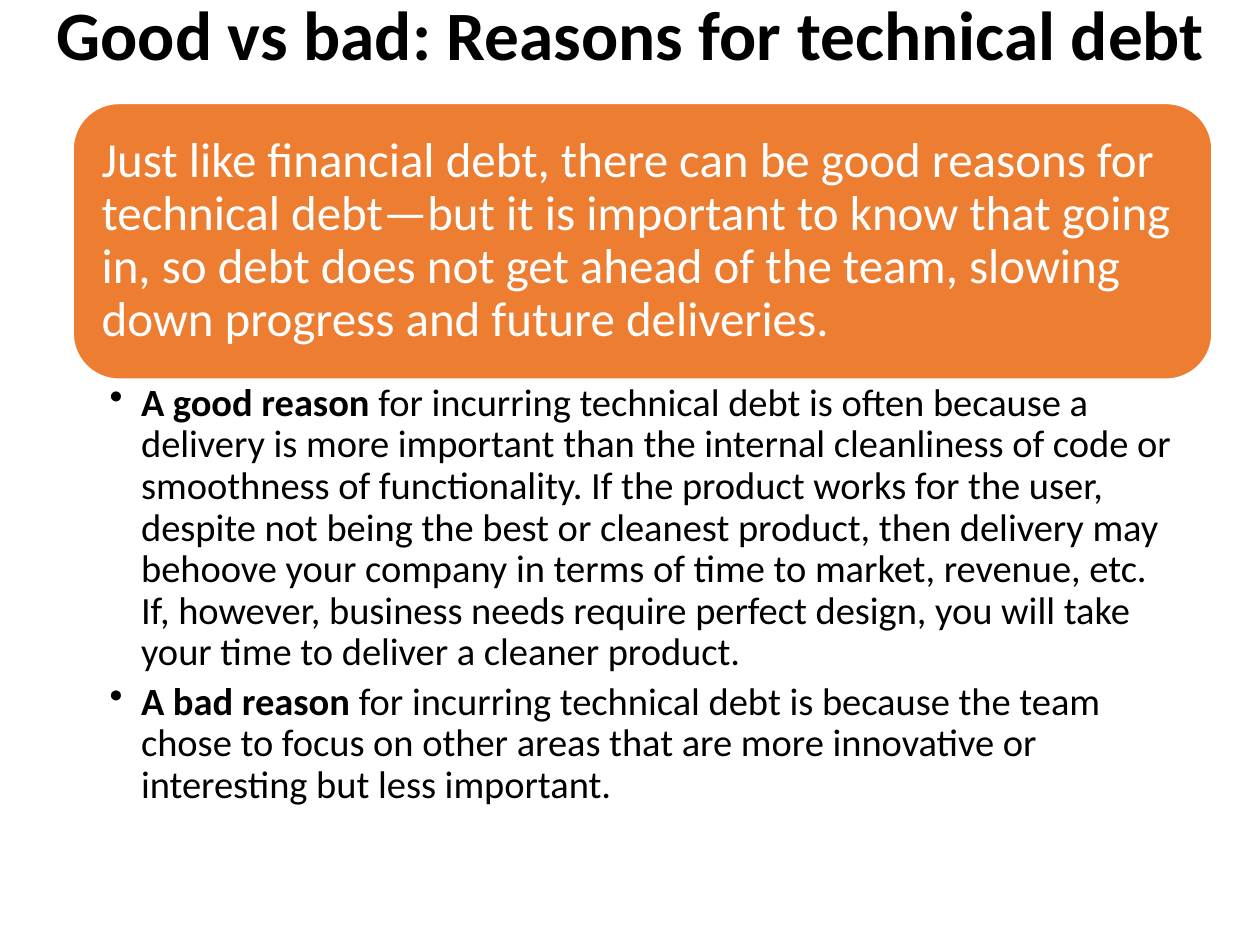
from pptx import Presentation
from pptx.dml.color import RGBColor
from pptx.enum.shapes import MSO_SHAPE
from pptx.enum.text import MSO_ANCHOR, PP_ALIGN
from pptx.oxml.ns import qn
from pptx.util import Inches, Pt
from lxml import etree

BLACK = RGBColor(0x00, 0x00, 0x00)
WHITE = RGBColor(0xFF, 0xFF, 0xFF)
ORANGE = RGBColor(0xED, 0x7D, 0x31)

TITLE = "Good vs bad: Reasons for technical debt"
LEAD = (
    "Just like financial debt, there can be good reasons for technical debt—but "
    "it is important to know that going in, so debt does not get ahead of the "
    "team, slowing down progress and future deliveries."
)
REASONS = [
    (
        "A good reason ",
        "for incurring technical debt is often because a delivery is more important "
        "than the internal cleanliness of code or smoothness of functionality. If "
        "the product works for the user, despite not being the best or cleanest "
        "product, then delivery may behoove your company in terms of time to "
        "market, revenue, etc. If, however, business needs require perfect design, "
        "you will take your time to deliver a cleaner product.",
    ),
    (
        "A bad reason ",
        "for incurring technical debt is because the team chose to focus on other "
        "areas that are more innovative or interesting but less important.",
    ),
]


def apply(item, values):
    for name, value in values.items():
        setattr(item, name, value)


def set_frame(shape, anchor, left, top, right, bottom):
    frame = shape.text_frame
    apply(frame, {
        "word_wrap": True,
        "vertical_anchor": anchor,
        "margin_left": Inches(left),
        "margin_top": Inches(top),
        "margin_right": Inches(right),
        "margin_bottom": Inches(bottom),
    })
    return frame


def add_run(para, text, size, color, bold=False):
    run = para.add_run()
    run.text = text
    apply(run.font, {"name": "Calibri", "size": Pt(size), "bold": bold})
    run.font.color.rgb = color


def set_para(para, after=0):
    apply(para, {
        "alignment": PP_ALIGN.LEFT,
        "line_spacing": 0.9,
        "space_after": Pt(after),
    })


def add_bullet(para):
    props = para._p.get_or_add_pPr()
    props.set("marL", str(Inches(0.25)))
    props.set("indent", str(Inches(-0.25)))
    etree.SubElement(props, qn("a:buChar")).set("char", "•")


def add_title(slide):
    box = slide.shapes.add_textbox(
        Inches(0.35), Inches(0.02), Inches(9.57), Inches(0.57))
    frame = set_frame(box, MSO_ANCHOR.MIDDLE, 0.1, 0, 0.1, 0)
    para = frame.paragraphs[0]
    set_para(para)
    add_run(para, TITLE, 39.6, BLACK, True)


def add_banner(slide):
    shape = slide.shapes.add_shape(
        MSO_SHAPE.ROUNDED_RECTANGLE,
        Inches(0.58), Inches(0.82), Inches(9.04), Inches(2.19))
    shape.shadow.inherit = False
    shape.fill.solid()
    shape.fill.fore_color.rgb = ORANGE
    shape.line.color.rgb = WHITE
    shape.line.width = Pt(1)
    frame = set_frame(shape, MSO_ANCHOR.MIDDLE, 0.12, 0.12, 0.12, 0.12)
    para = frame.paragraphs[0]
    set_para(para)
    add_run(para, LEAD, 28, WHITE)


def add_reasons(slide):
    box = slide.shapes.add_textbox(
        Inches(0.58), Inches(3), Inches(9.04), Inches(3.55))
    frame = set_frame(box, MSO_ANCHOR.TOP, 0.29, 0.04, 0.22, 0.04)
    for index, (head, body) in enumerate(REASONS):
        para = frame.add_paragraph() if index else frame.paragraphs[0]
        set_para(para, 4.5)
        add_bullet(para)
        add_run(para, head, 22, BLACK, True)
        add_run(para, body, 22, BLACK)


def main():
    deck = Presentation()
    apply(deck, {"slide_width": Inches(10), "slide_height": Inches(7.5)})
    slide = deck.slides.add_slide(deck.slide_layouts[6])
    add_title(slide)
    add_banner(slide)
    add_reasons(slide)
    deck.save("out.pptx")


if __name__ == "__main__":
    main()
